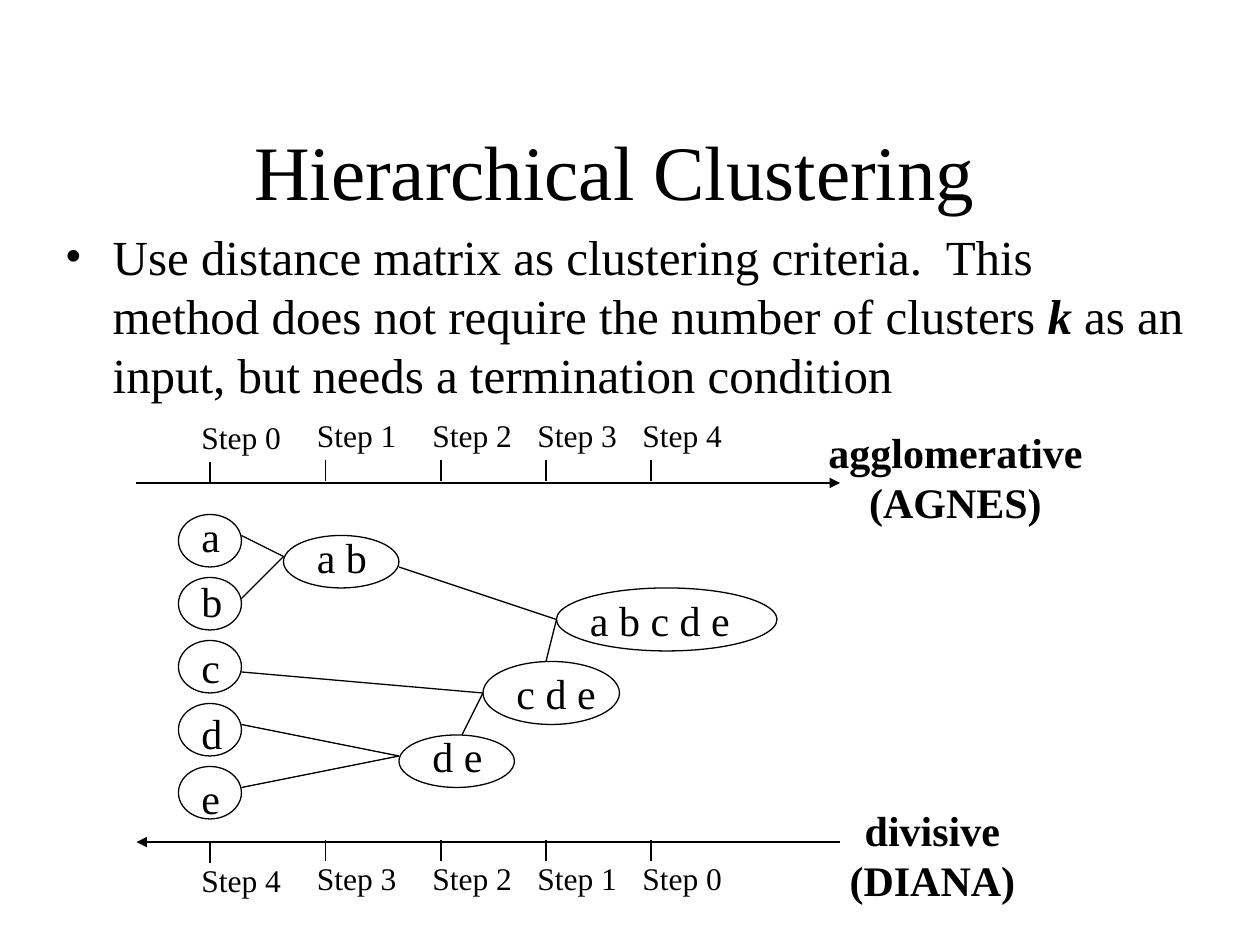
import pptx
import pptx.util
import pptx.dml.color
import pptx.enum.shapes
import pptx.enum.text
import pptx.oxml.ns
from lxml import etree

BLACK = pptx.dml.color.RGBColor(0, 0, 0)
FONT = "Times New Roman"
LEFT = pptx.enum.text.PP_ALIGN.LEFT
CENTER = pptx.enum.text.PP_ALIGN.CENTER
Pt = pptx.util.Pt

TITLE = "Hierarchical Clustering"
BODY = [
    ("Use distance matrix as clustering criteria.  This method does not "
     "require the number of clusters ", False),
    ("k", True),
    (" as an input, but needs a termination condition", False),
]

# The diagram lies on a grid with twelve units to the inch.
UNIT = 12
AXIS = (13, 80)
TICKS = [20, 31, 42, 52, 62]
STEPS = ["Step 0", "Step 1", "Step 2", "Step 3", "Step 4"]
# axis y, arrow end, tick shift, label shift, labels
SCALES = [
    (46, "tailEnd", -2, -6.8, STEPS),
    (80.2, "headEnd", 0, 1.2, STEPS[::-1]),
]
NAMES = [
    (["agglomerative", "(AGNES)"], (77.7, 40, 26.6, 10.8)),
    (["divisive", "(DIANA)"], (78.8, 76, 20, 10.8)),
]
LEAVES = "abcde"
# text, text box, ellipse
GROUPS = [
    ("a b", (29, 50, 7.2, 6), (27, 51, 11, 5)),
    ("d e", (40, 69, 7.2, 6), (38, 70, 11, 5)),
    ("c d e", (48, 63, 10, 6), (46, 63, 13, 6)),
    ("a b c d e", (55, 56, 15.7, 6), (53, 56, 21, 6)),
]
# joint, then the points that meet in it
MERGES = [
    ((27, 53), [(23, 51), (23, 57)]),
    ((38, 72), [(23, 69), (23, 75)]),
    ((46, 66), [(23, 64), (44, 70)]),
    ((53, 59), [(38, 54), (52, 63)]),
]


def grid(*units):
    return [pptx.util.Inches(u / UNIT) for u in units]


def style(par, size, align=LEFT, bold=False):
    par.alignment = align
    par.font.name = FONT
    par.font.size = Pt(size)
    par.font.bold = bold
    par.font.color.rgb = BLACK


def add_text(slide, lines, box, size, align=LEFT, bold=False, wrap=False):
    frame = slide.shapes.add_textbox(*grid(*box)).text_frame
    frame.word_wrap = wrap
    if not wrap:
        frame.auto_size = pptx.enum.text.MSO_AUTO_SIZE.SHAPE_TO_FIT_TEXT
    frame.text = "\n".join(lines)
    for par in frame.paragraphs:
        style(par, size, align, bold)
    return frame


def add_line(slide, start, end, width=0.75, arrow=None):
    line = slide.shapes.add_connector(
        pptx.enum.shapes.MSO_CONNECTOR.STRAIGHT, *grid(*start, *end))
    line.line.color.rgb = BLACK
    line.line.width = Pt(width)
    if arrow:
        tip = etree.SubElement(line.line._get_or_add_ln(),
                               pptx.oxml.ns.qn("a:" + arrow))
        tip.set("type", "triangle")
    etree.SubElement(line._element.spPr, pptx.oxml.ns.qn("a:effectLst"))


def add_node(slide, text, box, oval):
    add_text(slide, [text], box, 24)
    node = slide.shapes.add_shape(
        pptx.enum.shapes.MSO_SHAPE.OVAL, *grid(*oval))
    node.shadow.inherit = False
    node.fill.background()
    node.line.color.rgb = BLACK
    node.line.width = Pt(0.75)


def add_title(slide):
    title = slide.shapes.title
    title.left, title.top, title.width, title.height = grid(
        10.8, 10.7, 95.5, 10.9)
    title.text_frame.text = TITLE
    style(title.text_frame.paragraphs[0], 44, CENTER)


def add_body(slide):
    frame = add_text(slide, [""], (5, 21, 109, 64), 28, wrap=True)
    par = frame.paragraphs[0]
    par.space_before = Pt(17.5)
    for text, key in BODY:
        run = par.add_run()
        run.text = text
        if key:
            run.font.bold = run.font.italic = True
    props = par._p.get_or_add_pPr()
    indent = pptx.util.Inches(0.38)
    props.set("marL", str(indent))
    props.set("indent", str(-indent))
    last = props.find(pptx.oxml.ns.qn("a:defRPr"))
    for tag, key, value in [("a:buFont", "typeface", FONT),
                            ("a:buChar", "char", "•")]:
        mark = etree.Element(pptx.oxml.ns.qn(tag))
        mark.set(key, value)
        last.addprevious(mark)


def add_scale(slide, axis, arrow, tick, label, steps):
    add_line(slide, (AXIS[0], axis), (AXIS[1], axis), 1.5, arrow)
    for i, (x, step) in enumerate(zip(TICKS, steps)):
        y = axis - (0.2 if i else 0)
        add_line(slide, (x, y + tick), (x, y + tick + 2))
        frame = add_text(slide, [step], (x - 2, y + label, 10, 4.8), 18,
                         wrap=True)
        frame.paragraphs[0].space_before = Pt(11.2)


def main():
    deck = pptx.Presentation()
    deck.slide_width, deck.slide_height = grid(120, 90)
    slide = deck.slides.add_slide(deck.slide_layouts.get_by_name("Title Only"))
    add_title(slide)
    add_body(slide)
    for scale in SCALES:
        add_scale(slide, *scale)
    for i, leaf in enumerate(LEAVES):
        add_node(slide, leaf, (18, 48 + 6.25 * i, 4.2, 6),
                 (17, 49 + 6 * i, 6, 5))
    for group in GROUPS:
        add_node(slide, *group)
    for joint, parts in MERGES:
        for part in parts:
            add_line(slide, part, joint)
    for lines, box in NAMES:
        add_text(slide, lines, box, 24, CENTER, True)
    deck.save("out.pptx")


if __name__ == "__main__":
    main()
